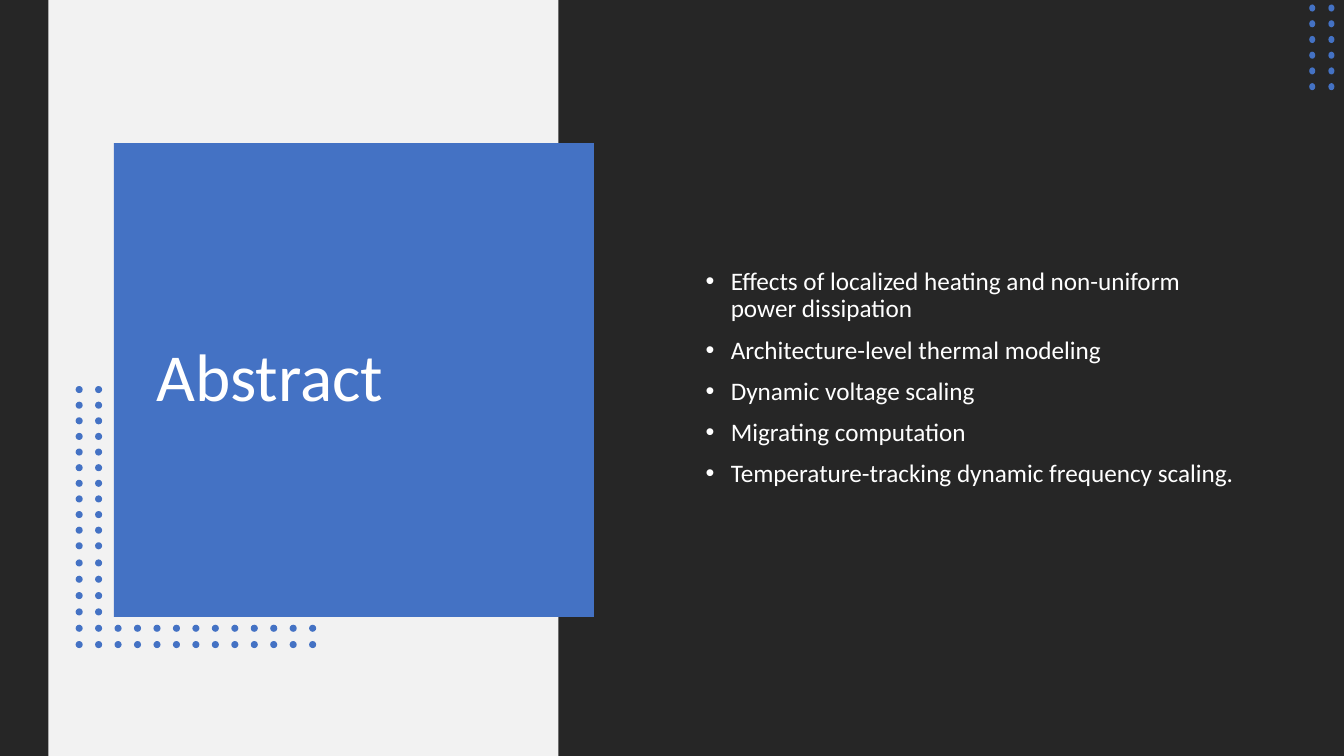
from lxml import etree
from pptx import Presentation
from pptx.dml.color import RGBColor
from pptx.enum.shapes import MSO_SHAPE
from pptx.enum.text import MSO_ANCHOR, PP_ALIGN
from pptx.oxml.ns import qn
from pptx.util import Inches, Pt

RECT, OVAL = MSO_SHAPE.RECTANGLE, MSO_SHAPE.OVAL
MIDDLE, LEFT = MSO_ANCHOR.MIDDLE, PP_ALIGN.LEFT
COLORS = {"dark": "262626", "panel": "F2F2F2", "accent": "4472C4", "text": "FFFFFF"}
FONT = "Calibri"
DOT = 0.07

BULLETS = [
    "Effects of localized heating and non-uniform power dissipation",
    "Architecture-level thermal modeling",
    "Dynamic voltage scaling",
    "Migrating computation",
    "Temperature-tracking dynamic frequency scaling.",
]


def add_filled(shapes, kind, x, y, w, h, color):
    sp = shapes.add_shape(kind, Inches(x), Inches(y), Inches(w), Inches(h))
    sp.fill.solid()
    sp.fill.fore_color.rgb = RGBColor.from_string(COLORS[color])
    sp.line.fill.background()
    sp.shadow.inherit = False
    return sp


def format_paragraph(p, size):
    p.alignment = LEFT
    p.line_spacing = 0.9
    for r in p.runs:
        r.font.name = FONT
        r.font.size = Pt(size)
        r.font.color.rgb = RGBColor.from_string(COLORS["text"])


prs = Presentation()
prs.slide_width, prs.slide_height = Inches(13.33), Inches(7.5)
s = prs.slides.add_slide(prs.slide_layouts[5])

add_filled(s.shapes, RECT, 0, 0, 13.33, 7.5, "dark")
add_filled(s.shapes, RECT, 0.48, 0, 5.06, 7.5, "panel")
add_filled(s.shapes, RECT, 1.13, 1.42, 4.76, 4.7, "accent")

title = s.shapes.title
title.left, title.top = Inches(1.45), Inches(1.74)
title.width, title.height = Inches(4.1), Inches(4.05)
tf = title.text_frame
tf.text = "Abstract"
tf.vertical_anchor = MIDDLE
format_paragraph(tf.paragraphs[0], 48)
s.shapes._spTree.append(title._element)

corner_dots = [(12.98 + 0.19 * col, 0.05 + 0.156 * row)
               for row in range(6) for col in range(2)]

row_tops = [3.83 + 0.155 * i for i in range(11)] + [5.55 + 0.162 * i for i in range(6)]
frame_dots = [(0.75 + 0.193 * col, y)
              for i, y in enumerate(row_tops)
              for col in range(2 if i < 15 else 13)]

for dots, height in ((corner_dots, 0.06), (frame_dots, DOT)):
    group = s.shapes.add_group_shape()
    for x, y in dots:
        add_filled(group.shapes, OVAL, x, y, DOT, height, "accent").rotation = 90

body = s.shapes.add_textbox(Inches(6.9), Inches(1.27), Inches(5.47), Inches(4.97))
tf = body.text_frame
tf.word_wrap = True
tf.vertical_anchor = MIDDLE
for i, text in enumerate(BULLETS):
    p = tf.paragraphs[0] if i == 0 else tf.add_paragraph()
    p.text = text
    format_paragraph(p, 18)
    p.space_before = Pt(10)
    pPr = p._p.get_or_add_pPr()
    pPr.set("marL", str(Inches(0.25)))
    pPr.set("indent", str(-Inches(0.25)))
    etree.SubElement(pPr, qn("a:buFont")).set("typeface", "Arial")
    etree.SubElement(pPr, qn("a:buChar")).set("char", "•")

prs.save("out.pptx")
